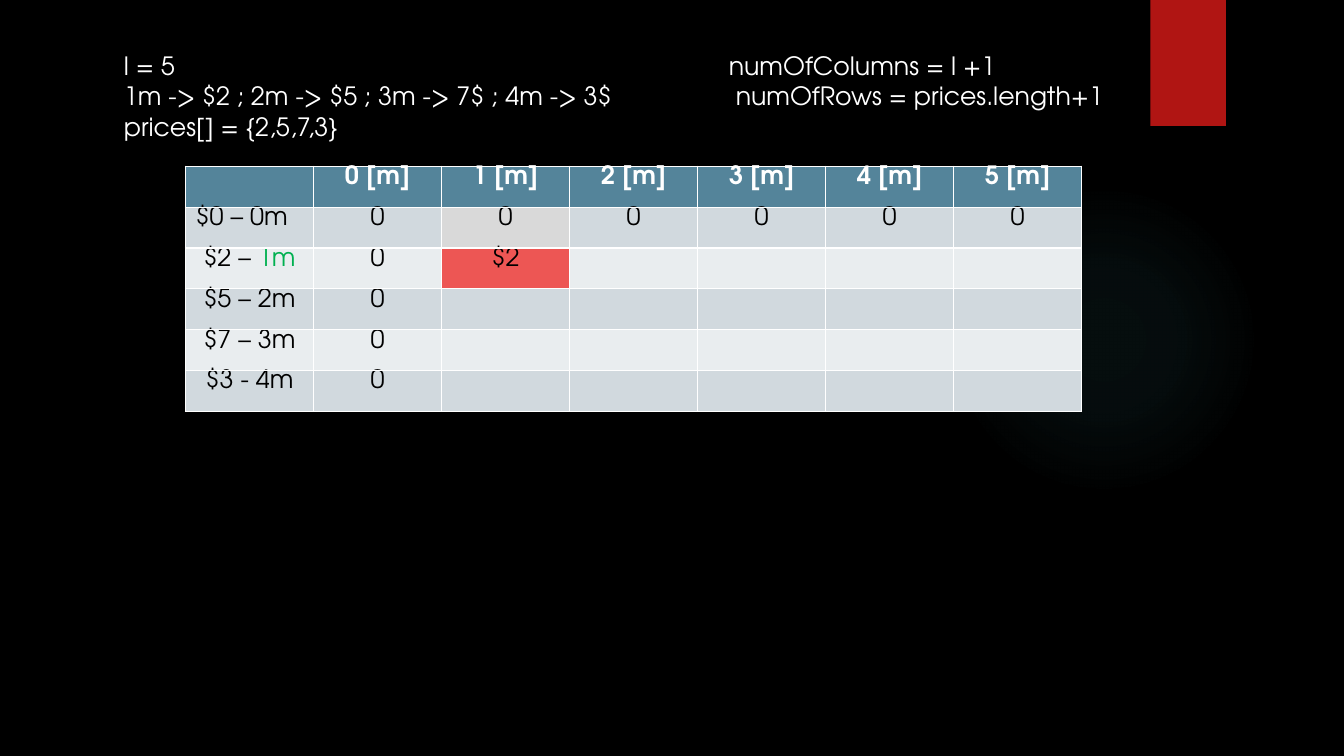
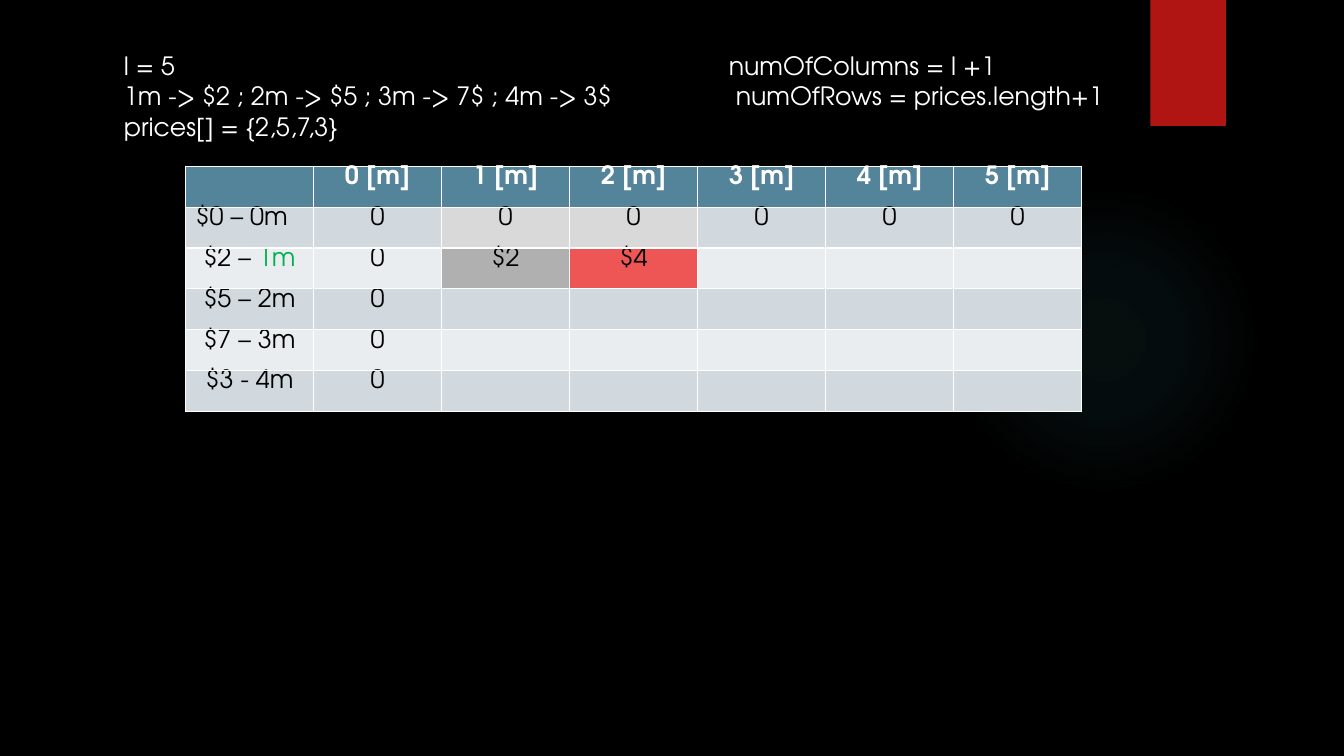
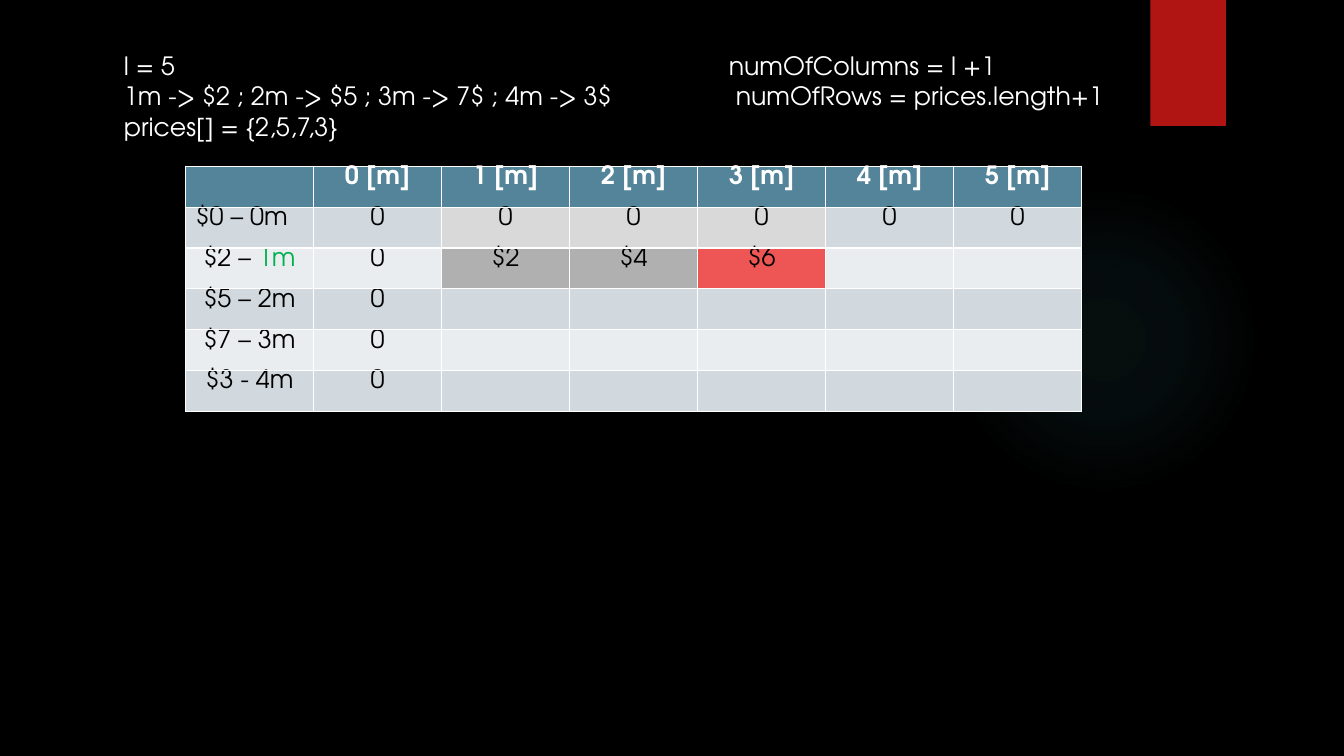
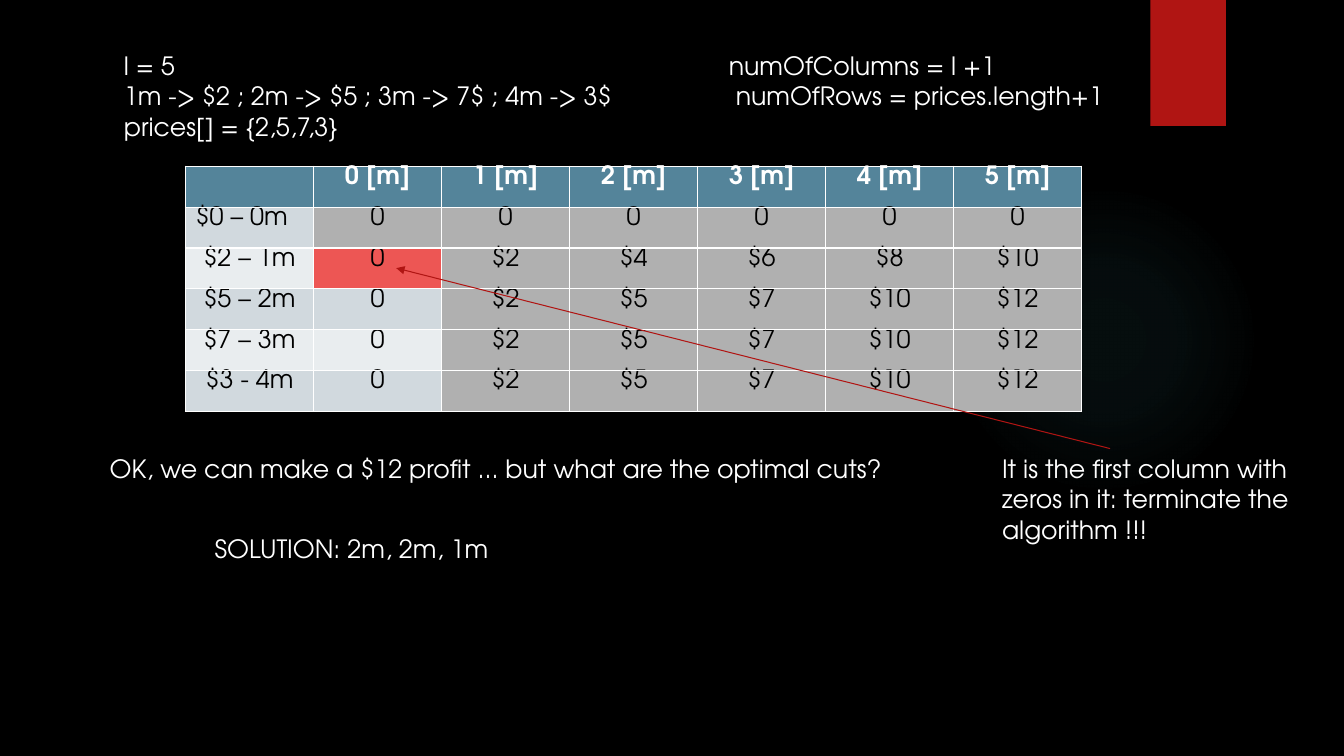
import lxml.etree
import pptx
import pptx.dml.color
import pptx.enum.shapes
import pptx.enum.text
import pptx.oxml
import pptx.oxml.ns
import pptx.util

Inches = pptx.util.Inches
Pt = pptx.util.Pt
qn = pptx.oxml.ns.qn
SHAPE = pptx.enum.shapes.MSO_SHAPE
ALIGN = pptx.enum.text.PP_ALIGN

FONT = "TeX Gyre Adventor"
COLORS = {
    "black": "000000", "white": "FFFFFF", "red": "B01513", "glow": "50B9C1",
    "head": "54849A", "odd": "D1D9DE", "even": "E9EDEF", "pale": "D9D9D9",
    "done": "B0B0B0", "now": "ED5654", "green": "00B050",
}
FACTS = [
    "l = 5\tnumOfColumns = l +1",
    "1m -> $2 ; 2m -> $5 ; 3m -> 7$ ; 4m -> 3$\t numOfRows = prices.length+1",
    "prices[] = {2,5,7,3}",
]
HEADS = [""] + [f"{size} [m]" for size in range(6)]
CUTS = ["$0 – 0m", "$2 – 1m", "$5 – 2m", "$7 – 3m", "$3 - 4m"]
PROFITS = [
    ["0"] * 6,
    ["0", "$2", "$4", "$6", "$8", "$10"],
] + [["0", "$2", "$5", "$7", "$10", "$12"]] * 3


def rgb(name):
    """Return the named colour."""
    return pptx.dml.color.RGBColor.from_string(COLORS[name])


def paint(fill, name):
    """Make a fill solid in the named colour."""
    fill.solid()
    fill.fore_color.rgb = rgb(name)


def write(frame, lines, color="white", bold=False, align=ALIGN.LEFT, tab=None):
    """Write lines, each a string or a list of (text, colour) runs."""
    for i, line in enumerate(lines):
        para = frame.add_paragraph() if i else frame.paragraphs[0]
        para.alignment = align
        if tab:
            stops = lxml.etree.SubElement(para._p.get_or_add_pPr(), qn("a:tabLst"))
            lxml.etree.SubElement(stops, qn("a:tab"), pos=str(Inches(tab)), algn="l")
        for text, tint in [(line, color)] if isinstance(line, str) else line:
            run = para.add_run()
            run.text = text
            run.font.name = FONT
            run.font.size = Pt(18)
            run.font.bold = bold
            run.font.color.rgb = rgb(tint)


def note(slide, left, top, width, height, lines, **form):
    """Add a wrapped text box."""
    box = slide.shapes.add_textbox(*map(Inches, (left, top, width, height)))
    box.text_frame.word_wrap = True
    write(box.text_frame, lines, **form)


def plain(slide, kind, left, top, width, height):
    """Add a shape without line or shadow."""
    shape = slide.shapes.add_shape(kind, *map(Inches, (left, top, width, height)))
    shape.line.fill.background()
    shape.shadow.inherit = False
    return shape


def glow(shape):
    """Fill a shape with a faint radial gradient."""
    stops = "".join(
        f'<a:gs pos="{pos * 1000}"><a:srgbClr val="{COLORS["glow"]}">'
        f'<a:alpha val="{alpha * 1000}"/></a:srgbClr></a:gs>'
        for pos, alpha in [(0, 7), (36, 6), (69, 0)]
    )
    fill = pptx.oxml.parse_xml(
        f'<a:gradFill {pptx.oxml.ns.nsdecls("a")}><a:gsLst>{stops}</a:gsLst>'
        '<a:path path="circle"><a:fillToRect l="50000" t="50000" r="50000" b="50000"/>'
        "</a:path></a:gradFill>"
    )
    shape.element.spPr.find(qn("a:prstGeom")).addnext(fill)


def dress(deck, slide):
    """Give the master its background, glow and red band."""
    master = deck.slide_master
    paint(master.background.fill, "black")
    orb = plain(slide, SHAPE.OVAL, 9.41, 1.83, 3.08, 3.08)
    glow(orb)
    band = plain(slide, SHAPE.RECTANGLE, 11.41, 0, 0.75, 1.25)
    paint(band.fill, "red")
    for shape in (orb, band):
        master.shapes.element.append(shape.element)


def grid(slide, rows, fills):
    """Add the profit table; fills maps (row, column) to a colour."""
    size = map(Inches, (1.84, 1.65, 8.89, 2.43))
    table = slide.shapes.add_table(len(rows), len(rows[0]), *size).table
    for r, row in enumerate(rows):
        for c, text in enumerate(row):
            cell = table.cell(r, c)
            cell.margin_top = cell.margin_bottom = 0
            base = "odd" if r % 2 else "even"
            paint(cell.fill, fills.get((r, c), base if r else "head"))
            if text:
                write(cell.text_frame, [text], bold=r == 0,
                      color="black" if r else "white",
                      align=ALIGN.LEFT if (r, c) == (1, 0) else ALIGN.CENTER)


def arrow(slide, start, end):
    """Add a thin red arrow."""
    line = slide.shapes.add_connector(
        pptx.enum.shapes.MSO_CONNECTOR.STRAIGHT, *map(Inches, start + end))
    line.line.color.rgb = rgb("red")
    line.line.width = Pt(0.75)
    props = line.element.spPr
    lxml.etree.SubElement(props.find(qn("a:ln")), qn("a:tailEnd"), type="triangle")
    lxml.etree.SubElement(props, qn("a:effectLst"))


def page(deck):
    """Add a slide with the facts of the problem."""
    slide = deck.slides.add_slide(deck.slide_layouts[6])
    note(slide, 1.13, 0.45, 10.31, 1.31, FACTS, tab=6)
    return slide


def step(slide, count):
    """Show the first cut's row filled up to a column."""
    rows = [HEADS]
    for cut, gains in zip(CUTS, PROFITS):
        rows.append([cut, "0"] + [""] * 5)
    rows[1][1:] = PROFITS[0]
    rows[2][0] = [("$2 – ", "black"), ("1m", "green")]
    rows[2][1:count + 2] = PROFITS[1][:count + 1]
    fills = {}
    for c in range(2, count + 2):
        fills[1, c] = "pale"
        fills[2, c] = "done"
    fills[2, count + 1] = "now"
    grid(slide, rows, fills)


def final(slide):
    """Show the full table and the solution."""
    rows = [HEADS] + [[cut] + gains for cut, gains in zip(CUTS, PROFITS)]
    fills = {(r, c): "done" for r in range(1, 6) for c in range(2, 7)}
    fills.update({(1, 1): "done", (2, 1): "now"})
    grid(slide, rows, fills)
    note(slide, 0.99, 4.45, 8.2, 0.4,
         ["OK, we can make a $12 profit ... but what are the optimal cuts?"])
    arrow(slide, (11.01, 4.45), (3.93, 2.66))
    note(slide, 9.84, 4.45, 3.3, 1.01,
         ["It is the first column with", "zeros in it: terminate the", "algorithm !!!"])
    note(slide, 2.03, 5.24, 3.2, 0.4, ["SOLUTION: 2m, 2m, 1m"])


def main():
    """Build and save the deck."""
    deck = pptx.Presentation()
    deck.slide_width = Inches(13.33)
    deck.slide_height = Inches(7.5)
    for count in (1, 2, 3):
        slide = page(deck)
        if count == 1:
            dress(deck, slide)
        step(slide, count)
    final(page(deck))
    deck.save("out.pptx")


if __name__ == "__main__":
    main()
